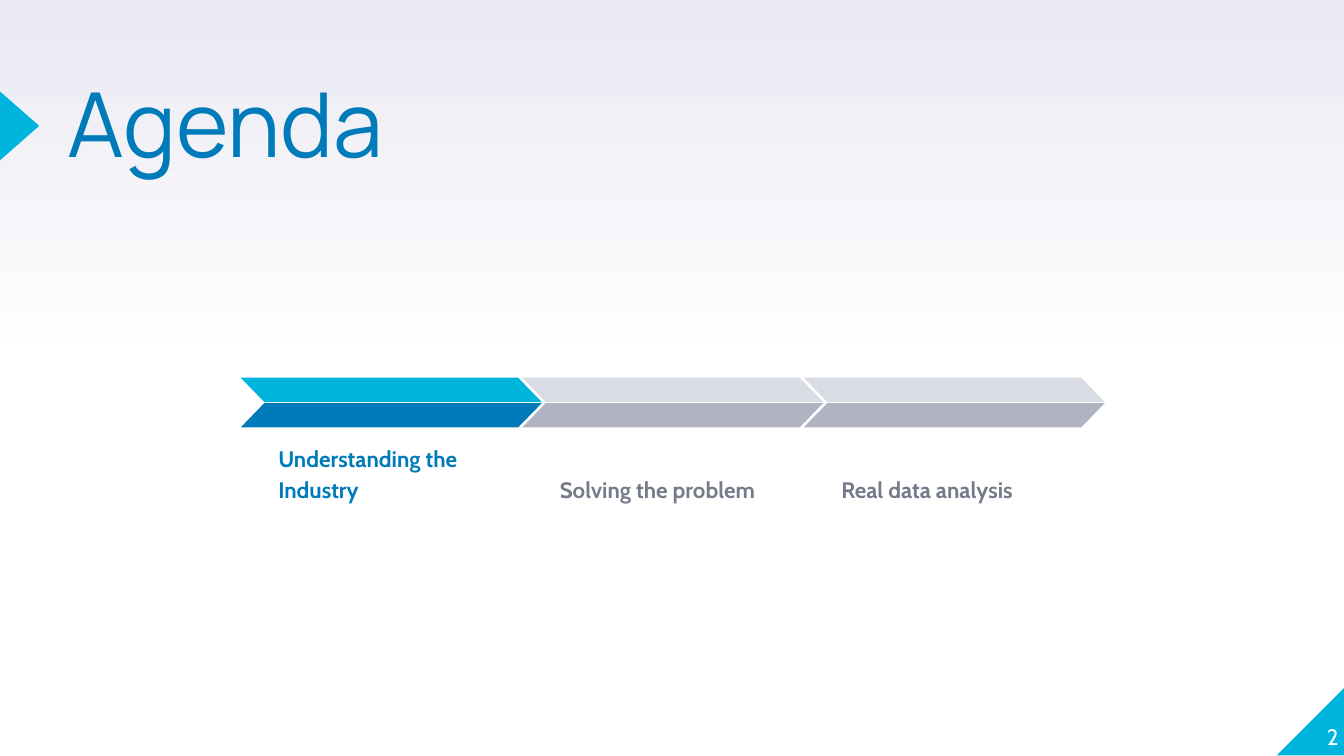
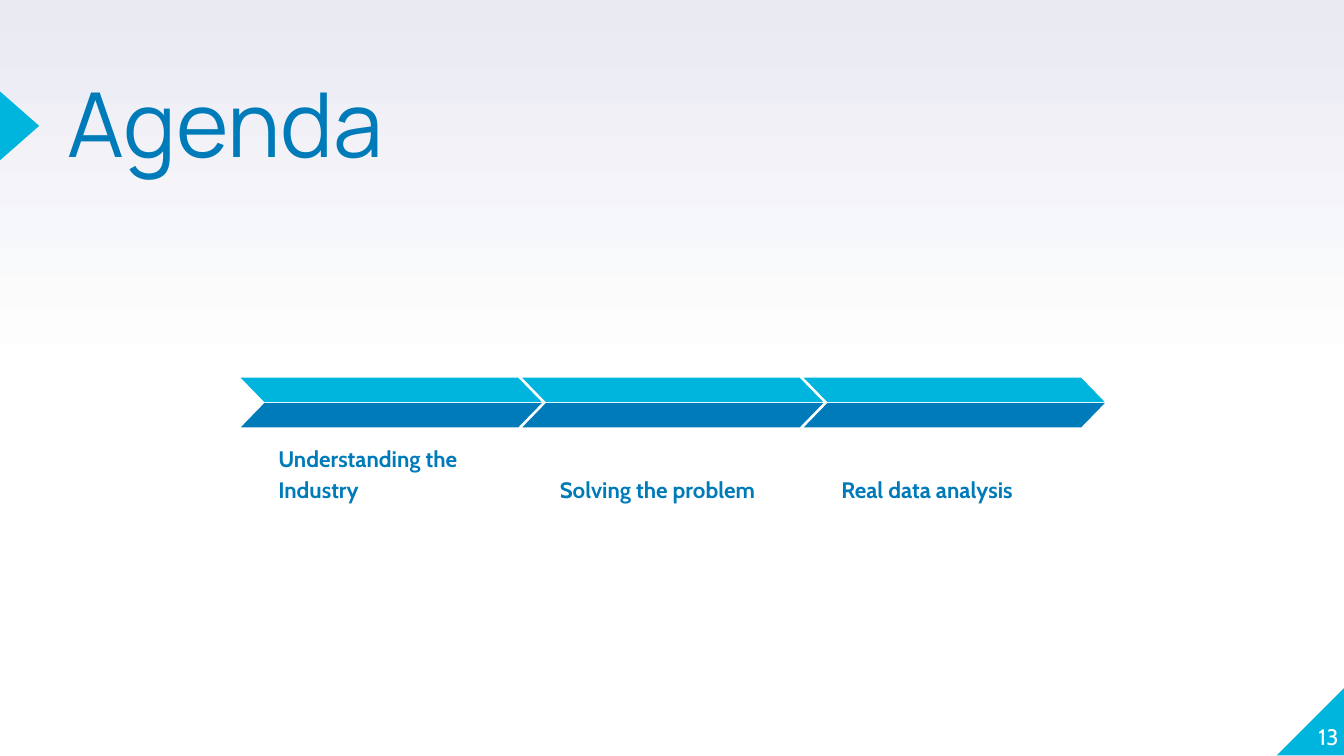
from pptx import Presentation
from pptx.dml.color import RGBColor
from pptx.enum.shapes import MSO_SHAPE as Preset
from pptx.enum.text import MSO_ANCHOR as Anchor, PP_ALIGN as Align
from pptx.util import Cm, Pt

WHITE, MIST = "FFFFFF", "E9EAF2"
CYAN, BLUE = "00B5DD", "007BB9"
LIGHT_GREY, MID_GREY, DARK_GREY = "DADCE5", "B0B3C1", "757B89"

TITLE = {"name": "Manrope", "size": Pt(48)}
NUMBER = {"name": "Cabin", "size": Pt(12)}
LABEL = {**NUMBER, "bold": True}

STEPS = ["Understanding the Industry", "Solving the problem", "Real data analysis"]
STEP_LEFT, STEP_PITCH = 4.55, 5.32
BAR_WIDTH, BAR_HEIGHT = 5.69, 0.46


def color(value):
    return RGBColor.from_string(value)


class Deck:
    def __init__(self):
        self.presentation = Presentation()
        self.presentation.slide_width = Cm(25.4)
        self.presentation.slide_height = Cm(14.29)
        self.slide = None

    def add_slide(self, title, number):
        layout = self.presentation.slide_layouts[6]
        self.slide = self.presentation.slides.add_slide(layout)
        shapes = self.slide.shapes

        # Background fades from white at mid-height to mist at the top
        fill = self.slide.background.fill
        fill.gradient()
        fill.gradient_angle = 90
        for stop, position, value in zip(fill.gradient_stops, (0.5, 1), (WHITE, MIST)):
            stop.position = position
            stop.color.rgb = color(value)

        # Corner, title marker, title and slide number
        self.shape(shapes, Preset.RIGHT_TRIANGLE, (24.13, 12.98, 1.3, 1.3), CYAN, flip=True)
        marker = self.shape(shapes, Preset.ISOSCELES_TRIANGLE, (-0.28, 2.01, 1.3, 0.74), CYAN)
        marker.rotation = 90
        self.text(shapes, title, (1.27, 1.68, 15.67, 3), TITLE, BLUE, spacing=0.8)
        self.text(shapes, number, (24.03, 12.88, 1.27, 1.3), NUMBER, WHITE,
                  anchor=Anchor.BOTTOM, align=Align.RIGHT)

    def shape(self, shapes, preset, box, fill, flip=False):
        shape = shapes.add_shape(preset, *map(Cm, box))
        shape.shadow.inherit = False
        shape.fill.solid()
        shape.fill.fore_color.rgb = color(fill)
        shape.line.fill.background()
        if flip:
            shape.element.spPr.get_or_add_xfrm().set("flipH", "1")
        return shape

    def text(self, shapes, content, box, font, ink, inset=0, spacing=1.0,
             anchor=Anchor.TOP, align=Align.LEFT):
        frame = shapes.add_textbox(*map(Cm, box)).text_frame
        frame_format = {"word_wrap": True, "vertical_anchor": anchor}
        for side in ("left", "top", "right", "bottom"):
            frame_format[f"margin_{side}"] = Cm(inset)
        for name, value in frame_format.items():
            setattr(frame, name, value)
        paragraph = frame.paragraphs[0]
        paragraph.alignment = align
        paragraph.line_spacing = spacing
        run = paragraph.add_run()
        run.text = content
        for name, value in font.items():
            setattr(run.font, name, value)
        run.font.color.rgb = color(ink)

    def step(self, index, label, active):
        upper, lower, ink = (CYAN, BLUE, BLUE) if active else (LIGHT_GREY, MID_GREY, DARK_GREY)
        left = STEP_LEFT + index * STEP_PITCH
        shapes = self.slide.shapes.add_group_shape().shapes
        self.text(shapes, label, (left + 0.46, 8.36, 4.67, 1.4), LABEL, ink,
                  inset=0.25, spacing=1.15, anchor=Anchor.BOTTOM)
        # Two mirrored halves make one chevron
        for top, fill, flip in ((7.14, upper, True), (7.62, lower, False)):
            half = self.shape(shapes, Preset.PARALLELOGRAM,
                              (left, top, BAR_WIDTH, BAR_HEIGHT), fill, flip)
            half.adjustments[0] = 0.97


def main():
    deck = Deck()
    for number, active_count in (("2", 1), ("13", 3)):
        deck.add_slide("Agenda", number)
        for index, label in enumerate(STEPS):
            deck.step(index, label, index < active_count)
    deck.presentation.save("out.pptx")


if __name__ == "__main__":
    main()
